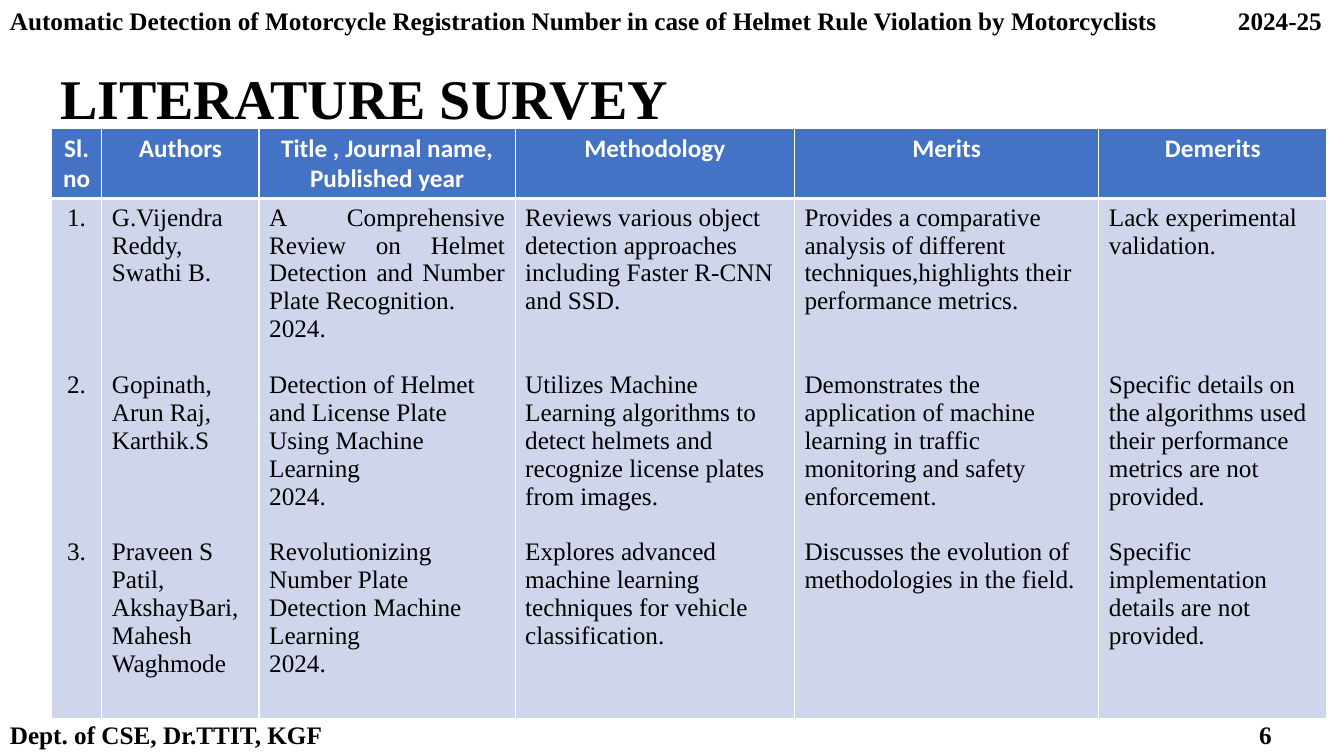
from lxml import etree
from pptx import Presentation
from pptx.dml.color import RGBColor
from pptx.enum.text import MSO_ANCHOR as Anchor, PP_ALIGN as Align
from pptx.oxml.ns import qn
from pptx.util import Inches, Pt

SERIF, SANS = "Times New Roman", "Calibri"
BLACK, WHITE, BLUE, PALE = "000000", "FFFFFF", "4472C4", "CFD5EA"
LINE_POINTS = 19.93

TITLE = "LITERATURE SURVEY"
BANDS = [
    (7.09, "Dept. of CSE, Dr.TTIT, KGF", "6", 12.39),
    (0, "Automatic Detection of Motorcycle Registration Number in case of "
        "Helmet Rule Violation by Motorcyclists", "2024-25", 12.18),
]

# Each entry: text, lines of space above it
COLUMNS = [
    ("Sl. no", 0.5, [("1.", 0), ("2.", 5), ("3.", 5)]),
    ("Authors", 1.56, [
        ("G.Vijendra Reddy, Swathi B.", 0),
        ("Gopinath,", 3), ("Arun Raj,", 0), ("Karthik.S", 0),
        ("Praveen S Patil, AkshayBari,", 3), ("Mahesh Waghmode", 0)]),
    ("Title , Journal name, Published year", 2.54, [
        ("A Comprehensive Review on Helmet Detection and Number Plate Recognition.", 0),
        ("2024.", 0),
        ("Detection of Helmet and License Plate Using Machine Learning", 1),
        ("2024.", 0),
        ("Revolutionizing Number Plate Detection Machine Learning", 1),
        ("2024.", 0)]),
    ("Methodology", 2.77, [
        ("Reviews various object detection approaches including Faster R-CNN and SSD.", 0),
        ("Utilizes Machine Learning algorithms to detect helmets and recognize "
         "license plates from images.", 2),
        ("Explores advanced machine learning techniques for vehicle classification.", 1)]),
    ("Merits", 3.02, [
        ("Provides a comparative analysis of different techniques,highlights "
         "their performance metrics.", 0),
        ("Demonstrates the application of machine learning in traffic monitoring "
         "and safety enforcement.", 2),
        ("Discusses the evolution of methodologies in the field.", 1)]),
    ("Demerits", 2.26, [
        ("Lack experimental validation.", 0),
        ("Specific details on the algorithms used their performance metrics "
         "are not provided.", 4),
        ("Specific implementation details are not provided.", 1)]),
]
ROW_HEIGHTS = [0.68, 4.74]
TABLE_LEFT, TABLE_TOP = 0.51, 1.27
TITLE_COLUMN, JUSTIFIED_COUNT = 2, 2


def colour(value):
    return RGBColor.from_string(value)


def write(para, text, font=SERIF, size=18, bold=False, ink=BLACK, **layout):
    for name, value in layout.items():
        setattr(para, name, value)
    span = para.add_run()
    span.text = text
    for name, value in {"name": font, "size": Pt(size), "bold": bold}.items():
        setattr(span.font, name, value)
    span.font.color.rgb = colour(ink)


def add_box(page, left, top, width, height):
    frame = page.shapes.add_textbox(*map(Inches, (left, top, width, height))).text_frame
    frame.word_wrap = True
    return frame


def add_tab(para, position):
    stops = etree.SubElement(para._p.get_or_add_pPr(), qn("a:tabLst"))
    etree.SubElement(stops, qn("a:tab"), pos=str(Inches(position)), algn="l")


def paint(cell, fill, **widths):
    properties = cell._tc.get_or_add_tcPr()
    for side in "LRTB":
        line = etree.SubElement(properties, qn("a:ln" + side),
                                w=str(Pt(widths.get(side, 1))))
        solid = etree.SubElement(line, qn("a:solidFill"))
        etree.SubElement(solid, qn("a:srgbClr"), val=WHITE)
    cell.fill.solid()
    cell.fill.fore_color.rgb = colour(fill)


def add_survey(page):
    widths = [width for _, width, _ in COLUMNS]
    table = page.shapes.add_table(
        len(ROW_HEIGHTS), len(COLUMNS), Inches(TABLE_LEFT), Inches(TABLE_TOP),
        Inches(sum(widths)), Inches(sum(ROW_HEIGHTS))).table
    table.horz_banding = False
    for row, height in zip(table.rows, ROW_HEIGHTS):
        row.height = Inches(height)
    for index, (heading, width, entries) in enumerate(COLUMNS):
        table.columns[index].width = Inches(width)
        head, body = table.cell(0, index), table.cell(1, index)
        paint(head, BLUE, B=3)
        paint(body, PALE, T=3)
        write(head.text_frame.paragraphs[0], heading, SANS, bold=True, ink=WHITE,
              alignment=Align.CENTER)
        for order, (text, gap) in enumerate(entries):
            frame = body.text_frame
            para = frame.add_paragraph() if order else frame.paragraphs[0]
            align = Align.CENTER if index == 0 else Align.LEFT
            if index == TITLE_COLUMN and order < JUSTIFIED_COUNT:
                align = Align.JUSTIFY
            write(para, text, alignment=align, space_before=Pt(gap * LINE_POINTS))


def main():
    deck = Presentation()
    deck.slide_width, deck.slide_height = Inches(13.33), Inches(7.5)
    page = deck.slides.add_slide(deck.slide_layouts[6])
    heading = add_box(page, 0.5, 0.4, 6.7, 1.22)
    heading.vertical_anchor = Anchor.MIDDLE
    write(heading.paragraphs[0], TITLE, size=40, bold=True, line_spacing=0.9)
    add_survey(page)
    for top, label, mark, stop in BANDS:
        para = add_box(page, 0, top, 13.33, 0.4).paragraphs[0]
        add_tab(para, stop)
        write(para, label + "\t" + mark, bold=True)
    deck.save("out.pptx")


if __name__ == "__main__":
    main()
